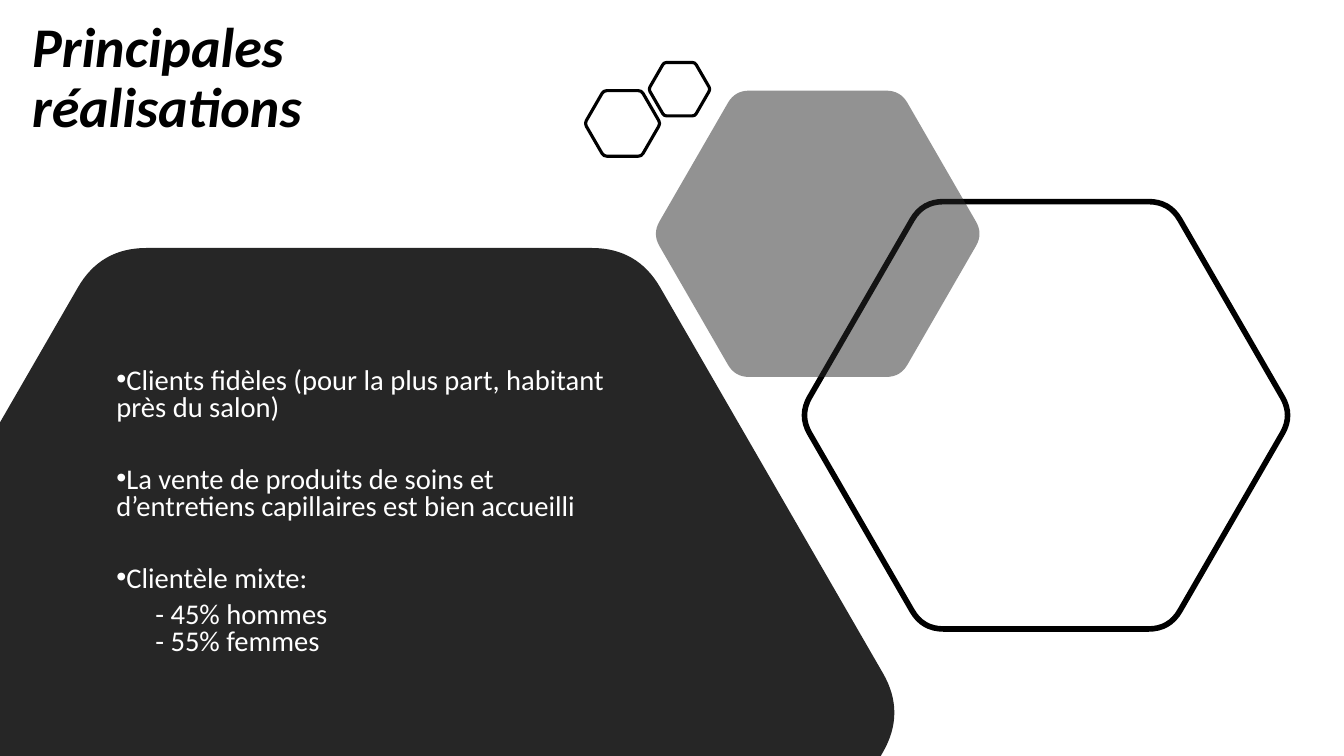
import math

from lxml import etree
from pptx import Presentation
from pptx import util as u
from pptx.dml.color import RGBColor
from pptx.enum import text
from pptx.oxml.ns import qn

WIDTH, HEIGHT = u.Inches(13.33), u.Inches(7.5)
COLUMN, ROW = WIDTH / 100, HEIGHT / 100
COLORS = {"ink": "000000", "dark": "262626", "light": "FFFFFF"}
FONT = "Calibri"
CORNER_SHARE = 0.085  # part of a side taken by each rounded corner


def color(name):
    return RGBColor.from_string(COLORS[name])


def between(start, end, share):
    return tuple(a + (b - a) * share for a, b in zip(start, end))


def rounded_hexagon(center_column, center_row, rows_high):
    """Start, crest and end of each corner's arc; and the corner of each crest."""
    side = rows_high * ROW / math.sqrt(3)
    corners = [(center_column * COLUMN + side * math.cos(math.radians(angle)),
                center_row * ROW + side * math.sin(math.radians(angle)))
               for angle in range(0, 360, 60)]
    points, crests = [], {}
    for index, corner in enumerate(corners):
        start = between(corner, corners[index - 1], CORNER_SHARE)
        end = between(corner, corners[(index + 1) % 6], CORNER_SHARE)
        crest = between(between(start, end, 0.5), corner, 0.5)
        points += [start, crest, end]
        crests[crest] = corner
    return points, crests


def clip(points, axis, limit, sign):
    """Keep the part of a polygon where sign * (coordinate - limit) >= 0."""
    kept = []
    for previous, current in zip(points[-1:] + points[:-1], points):
        before = sign * (previous[axis] - limit)
        after = sign * (current[axis] - limit)
        if before * after < 0:
            kept.append(between(previous, current, before / (before - after)))
        if after >= 0:
            kept.append(current)
    return kept


def round_corners(shape, points, crests):
    """Turn the two lines over each crest into one curve."""
    left, top = (min(values) for values in zip(*points))
    lines = list(shape._element.iter(qn("a:lnTo")))
    for index, crest in enumerate(points):
        if crest not in crests:
            continue
        start, end = points[index - 1], points[index + 1]
        curve = etree.Element(qn("a:cubicBezTo"))
        for x, y in (between(start, crests[crest], 2 / 3),
                     between(end, crests[crest], 2 / 3), end):
            etree.SubElement(curve, qn("a:pt"),
                             x=str(round(x - left)), y=str(round(y - top)))
        crest_line, end_line = lines[index - 1:index + 1]
        crest_line.addprevious(curve)
        for line in (crest_line, end_line):
            line.getparent().remove(line)


def add_hexagon(shapes, center_column, center_row, rows_high,
                fill=None, opacity=100, line_width=None):
    points, crests = rounded_hexagon(center_column, center_row, rows_high)
    points = clip(clip(points, 0, 0, 1), 1, HEIGHT, -1)
    vertices = [(round(x), round(y)) for x, y in points]
    builder = shapes.build_freeform(*vertices[0], scale=1.0)
    builder.add_line_segments(vertices[1:], close=True)
    shape = builder.convert_to_shape()
    round_corners(shape, points, crests)
    shape.shadow.inherit = False
    if fill:
        shape.fill.solid()
        shape.fill.fore_color.rgb = color(fill)
        if opacity < 100:
            tint = shape.fill._xPr.find(".//" + qn("a:srgbClr"))
            etree.SubElement(tint, qn("a:alpha"), val=str(opacity * 1000))
    else:
        shape.fill.background()
    if line_width:
        shape.line.color.rgb = color("ink")
        shape.line.width = u.Pt(line_width)
    else:
        shape.line.fill.background()


def add_text_frame(slide, left, top, columns, rows):
    box = slide.shapes.add_textbox(round(left * COLUMN), round(top * ROW),
                                   round(columns * COLUMN), round(rows * ROW))
    box.text_frame.word_wrap = True
    return box.text_frame


def style_paragraph(paragraph, words, size, color_name, line_spacing):
    paragraph.text = words
    paragraph.line_spacing = line_spacing
    paragraph.font.name = FONT
    paragraph.font.size = u.Pt(size)
    paragraph.font.color.rgb = color(color_name)


def add_title(slide, words):
    frame = add_text_frame(slide, 1.65, -1.2, 41.04, 31.2)
    frame.vertical_anchor = text.MSO_ANCHOR.MIDDLE
    frame.margin_right = round(4 * COLUMN)
    frame.margin_bottom = round(8.5 * ROW)
    paragraph = frame.paragraphs[0]
    style_paragraph(paragraph, words, 40, "ink", 0.9)
    paragraph.font.bold = paragraph.font.italic = True


def add_bullet(paragraph):
    default_font = paragraph._p.get_or_add_pPr().find(qn("a:defRPr"))
    for tag, name, value in (("a:buFont", "typeface", "Arial"),
                             ("a:buChar", "char", "•")):
        default_font.addprevious(
            default_font.makeelement(qn(tag), {name: value}))


def add_achievements(slide, achievements, details):
    frame = add_text_frame(slide, 7.92, 42.53, 38.93, 45.07)
    frame.margin_top = round(6.2 * ROW)
    for index, words in enumerate(achievements + [details]):
        paragraph = frame.paragraphs[0] if index == 0 else frame.add_paragraph()
        style_paragraph(paragraph, words, 20.4, "light", 0.8)
        paragraph.space_after = u.Pt(6)
        if words == details:
            properties = paragraph._p.get_or_add_pPr()
            properties.set("marL", str(round(2.9 * COLUMN)))
            continue
        if index:
            paragraph.space_before = u.Pt(25.5)
        add_bullet(paragraph)


def main():
    presentation = Presentation()
    presentation.slide_width, presentation.slide_height = WIDTH, HEIGHT
    slide = presentation.slides.add_slide(presentation.slide_layouts[6])

    add_title(slide, "Principales réalisations")
    add_hexagon(slide.shapes, 27.46, 94.27, 122.93, fill="dark")
    add_hexagon(slide.shapes, 77.83, 54.93, 56.53, line_width=4)
    add_hexagon(slide.shapes, 60.84, 30.93, 37.87, fill="dark", opacity=50)
    small_pair = slide.shapes.add_group_shape()
    add_hexagon(small_pair.shapes, 46.32, 16.33, 8.67, line_width=2.25)
    add_hexagon(small_pair.shapes, 50.56, 11.8, 7.07, line_width=2.25)
    add_achievements(
        slide,
        ["Clients fidèles (pour la plus part, habitant près du salon)",
         "La vente de produits de soins et d’entretiens capillaires "
         "est bien accueilli",
         "Clientèle mixte:"],
        "- 45% hommes\v- 55% femmes")

    presentation.save("out.pptx")


if __name__ == "__main__":
    main()
